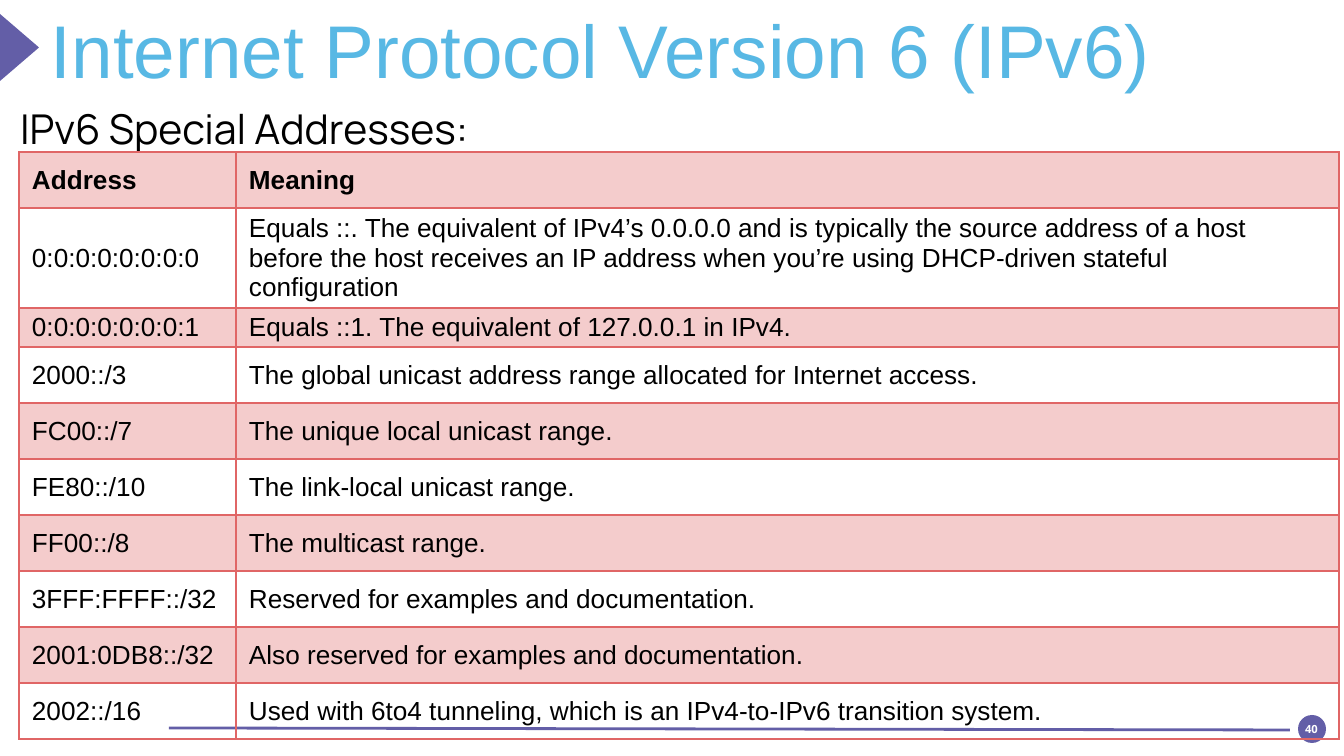
from dataclasses import dataclass

from lxml.etree import SubElement
from pptx import Presentation
from pptx.dml.color import RGBColor as RGB
from pptx.enum.shapes import MSO_CONNECTOR as LINK, MSO_SHAPE as SHAPE
from pptx.enum.text import MSO_ANCHOR as ANCHOR, PP_ALIGN as ALIGN
from pptx.oxml.ns import qn
from pptx.util import Emu, Pt

SCALE = 914400 / 134.4


@dataclass(frozen=True)
class Theme:
    purple: str = "635EA7"
    sky: str = "58B8E4"
    black: str = "000000"
    white: str = "FFFFFF"
    pink: str = "F4CCCC"
    red: str = "E06666"
    sans: str = "Arial"
    head: str = "Manrope"
    small: str = "Open Sans"
    title: int = 40
    sub: int = 22
    body: int = 14
    page: int = 6
    rule: float = 1.5
    border: float = 0.75


THEME = Theme()
COLS = (217, 1103)
TALL, SHORT = 56, 39
ROWS = (
    ("Address", "Meaning"),
    ("0:0:0:0:0:0:0:0",
     "Equals ::. The equivalent of IPv4’s 0.0.0.0 and is typically the source "
     "address of a host before the host receives an IP address when you’re "
     "using DHCP-driven stateful configuration"),
    ("0:0:0:0:0:0:0:1", "Equals ::1. The equivalent of 127.0.0.1 in IPv4."),
    ("2000::/3", "The global unicast address range allocated for Internet access."),
    ("FC00::/7", "The unique local unicast range."),
    ("FE80::/10", "The link-local unicast range."),
    ("FF00::/8", "The multicast range."),
    ("3FFF:FFFF::/32", "Reserved for examples and documentation."),
    ("2001:0DB8::/32", "Also reserved for examples and documentation."),
    ("2002::/16",
     "Used with 6to4 tunneling, which is an IPv4-to-IPv6 transition system."),
)
SHORT_ROW = 2


def px(num):
    return Emu(round(num * SCALE))


def box(*nums):
    return [px(num) for num in nums]


def style(para, size, face, color, bold=False):
    font = para.font
    font.size, font.name, font.bold = Pt(size), face, bold
    font.color.rgb = RGB.from_string(color)


def add_solid(slide, kind, area, turn=0):
    shape = slide.shapes.add_shape(kind, *box(*area))
    shape.shadow.inherit = False
    shape.fill.solid()
    shape.fill.fore_color.rgb = RGB.from_string(THEME.purple)
    shape.line.fill.background()
    shape.rotation = turn
    return shape


def put_text(shape, text, look, pad=0, anchor=ANCHOR.TOP, align=ALIGN.LEFT):
    frame = shape.text_frame
    frame.word_wrap = True
    frame.vertical_anchor = anchor
    frame.margin_left = frame.margin_right = px(pad)
    frame.margin_top = frame.margin_bottom = px(pad)
    para = frame.paragraphs[0]
    para.text, para.alignment = text, align
    style(para, *look)


def add_rule(slide, *ends):
    line = slide.shapes.add_connector(LINK.STRAIGHT, *box(*ends))
    line.line.color.rgb = RGB.from_string(THEME.purple)
    line.line.width = Pt(THEME.rule)
    SubElement(line._element.spPr, qn("a:effectLst"))


def add_edges(cell):
    """Draw all four borders; they must precede the cell's fill in the XML."""
    props = cell._tc.get_or_add_tcPr()
    for side in ("lnL", "lnR", "lnT", "lnB"):
        edge = SubElement(props, qn(f"a:{side}"), w=str(Pt(THEME.border)))
        fill = SubElement(edge, qn("a:solidFill"))
        SubElement(fill, qn("a:srgbClr"), val=THEME.red)


def fill_cell(cell, text, band, bold):
    add_edges(cell)
    if band:
        cell.fill.solid()
        cell.fill.fore_color.rgb = RGB.from_string(THEME.pink)
    else:
        cell.fill.background()
    cell.vertical_anchor = ANCHOR.MIDDLE
    cell.margin_left = cell.margin_right = px(13)
    cell.margin_top = cell.margin_bottom = px(3)
    para = cell.text_frame.paragraphs[0]
    para.text = text
    style(para, THEME.body, THEME.sans, THEME.black, bold)


def add_grid(slide, left, top):
    highs = [SHORT if row == SHORT_ROW else TALL for row in range(len(ROWS))]
    area = box(left, top, sum(COLS), sum(highs))
    table = slide.shapes.add_table(len(ROWS), len(COLS), *area).table
    table.first_row = table.horz_banding = False
    for col, wide in zip(table.columns, COLS):
        col.width = px(wide)
    for row, texts in enumerate(ROWS):
        table.rows[row].height = px(highs[row])
        for col, text in enumerate(texts):
            fill_cell(table.cell(row, col), text, row % 2 == 0, row == 0)


def main():
    deck = Presentation()
    deck.slide_width, deck.slide_height = box(1344, 756)
    slide = deck.slides.add_slide(deck.slide_layouts[6])

    add_solid(slide, SHAPE.OVAL, (1298, 715, 28, 28))
    page = add_solid(slide, SHAPE.RECTANGLE, (1300, 722, 23, 13))
    put_text(page, "40", (THEME.page, THEME.small, THEME.white, True),
             align=ALIGN.CENTER)
    add_rule(slide, 1290, 730, 169, 728)
    add_solid(slide, SHAPE.ISOSCELES_TRIANGLE, (-14, 28, 67, 39), 90)

    sub = slide.shapes.add_textbox(*box(7, 90, 1332, 140))
    put_text(sub, "IPv6 Special Addresses:",
             (THEME.sub, THEME.head, THEME.black), pad=13)
    add_grid(slide, 19, 152)
    title = slide.shapes.add_textbox(*box(51, 0, 1208, 93))
    put_text(title, "Internet Protocol Version 6 (IPv6)",
             (THEME.title, THEME.sans, THEME.sky), anchor=ANCHOR.BOTTOM)
    deck.save("out.pptx")


if __name__ == "__main__":
    main()
